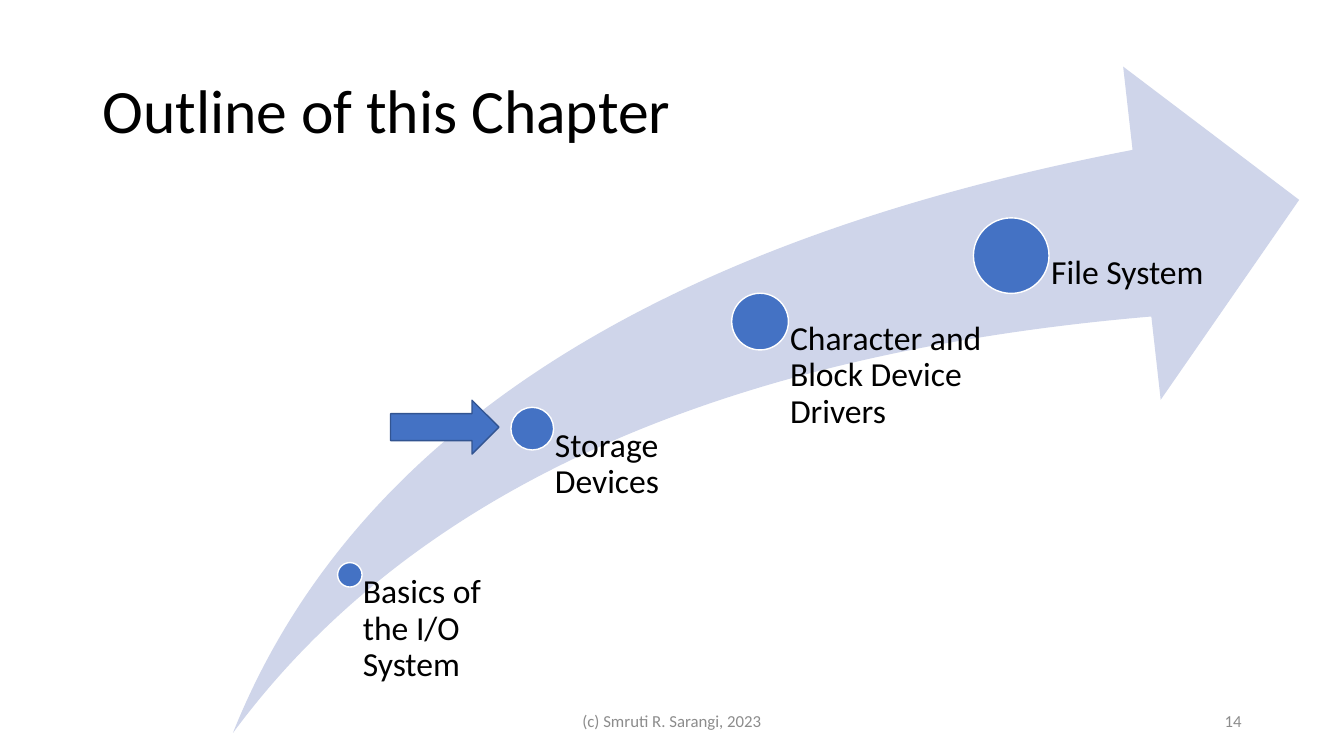
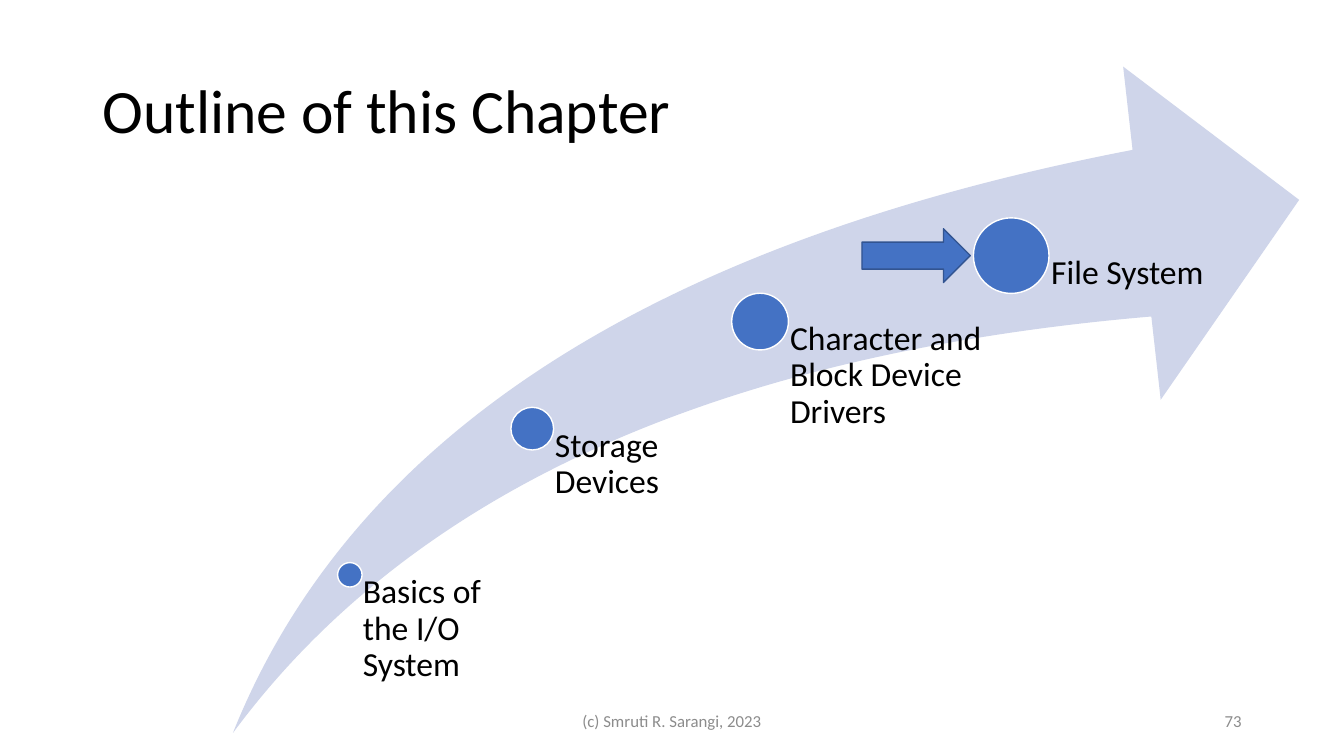
import pptx
import pptx.dml.color
import pptx.enum.shapes
import pptx.enum.text
import pptx.util

Pt = pptx.util.Pt
SHAPE = pptx.enum.shapes.MSO_SHAPE
ALIGN = pptx.enum.text.PP_ALIGN
ANCHOR = pptx.enum.text.MSO_ANCHOR

TITLE = "Outline of this Chapter"
COPYRIGHT = "(c) Smruti R. Sarangi, 2023"

# topic, circle centre x, centre y, diameter, label width
STEPS = [
    ("Basics of the I/O System", 249.9, 410.6, 17.5, 130.3),
    ("Storage Devices", 380.2, 306.2, 30.5, 160),
    ("Character and Block Device Drivers", 542.9, 229.7, 40.5, 160),
    ("File System", 722.3, 182.6, 54, 160),
]

# slide number, index of the current step, pointer's gap to the circle, pointer's rise
SLIDES = [
    (14, 1, 8.6, 1.1),
    (73, 3, 2.2, 0),
]

COLORS = {
    "text": "000000",
    "footer": "8C8C8C",
    "swoosh": "CFD5EA",
    "accent": "4472C4",
    "circle edge": "FFFFFF",
    "pointer edge": "325491",
}
FONT = "Calibri"
SWOOSH = (166.4, 47.6, 761.6, 476)
SWOOSH_BOTTOM = SWOOSH[1] + SWOOSH[3]
LABEL_INSET = 0.53  # share of the circle's diameter
POINTER_WIDTH, POINTER_HEIGHT = 77.4, 38.4
FOOTER_TOP, FOOTER_HEIGHT = 500.5, 28.75


def rgb(name):
    return pptx.dml.color.RGBColor.from_string(COLORS[name])


def add_text(shapes, box, text, size, color="text", align=ALIGN.LEFT,
             anchor=ANCHOR.MIDDLE, spacing=1.0, insets=(7.2, 3.6, 7.2, 3.6)):
    frame = shapes.add_textbox(*map(Pt, box)).text_frame
    frame.word_wrap = True
    frame.vertical_anchor = anchor
    (frame.margin_left, frame.margin_top,
     frame.margin_right, frame.margin_bottom) = map(Pt, insets)
    paragraph = frame.paragraphs[0]
    paragraph.alignment = align
    paragraph.line_spacing = spacing
    run = paragraph.add_run()
    run.text = text
    run.font.name = FONT
    run.font.size = Pt(size)
    run.font.color.rgb = rgb(color)


def add_filled(shapes, preset, box, fill, edge=None):
    shape = shapes.add_shape(preset, *map(Pt, box))
    shape.shadow.inherit = False
    shape.fill.solid()
    shape.fill.fore_color.rgb = rgb(fill)
    if edge:
        shape.line.color.rgb = rgb(edge)
        shape.line.width = Pt(1)
    else:
        shape.line.fill.background()
    return shape


def add_roadmap(slide):
    """Swoosh with one circle and label per step, as one group."""
    shapes = slide.shapes.add_group_shape().shapes
    swoosh = add_filled(shapes, SHAPE.SWOOSH_ARROW, SWOOSH, "swoosh")
    swoosh.adjustments[0] = swoosh.adjustments[1] = 0.25
    for topic, x, y, diameter, width in STEPS:
        radius = diameter / 2
        add_filled(shapes, SHAPE.OVAL, (x - radius, y - radius, diameter, diameter),
                   "accent", "circle edge")
        add_text(shapes, (x, y, width, SWOOSH_BOTTOM - y), topic, 24,
                 anchor=ANCHOR.TOP, spacing=0.9,
                 insets=(diameter * LABEL_INSET, 0, 0, 0))


def add_pointer(slide, step, gap, rise):
    _, x, y, diameter, _ = STEPS[step]
    left = x - diameter / 2 - gap - POINTER_WIDTH
    top = y - rise - POINTER_HEIGHT / 2
    add_filled(slide.shapes, SHAPE.RIGHT_ARROW,
               (left, top, POINTER_WIDTH, POINTER_HEIGHT), "accent", "pointer edge")


def add_footer(slide, number):
    for left, width, text, align in [
        (318, 324, COPYRIGHT, ALIGN.CENTER),
        (678, 216, str(number), ALIGN.RIGHT),
    ]:
        add_text(slide.shapes, (left, FOOTER_TOP, width, FOOTER_HEIGHT),
                 text, 12, "footer", align)


def main():
    deck = pptx.Presentation()
    deck.slide_width, deck.slide_height = Pt(960), Pt(540)
    blank = deck.slide_layouts[6]
    for number, step, gap, rise in SLIDES:
        slide = deck.slides.add_slide(blank)
        add_text(slide.shapes, (66, 28.75, 828, 104.4), TITLE, 44, spacing=0.9)
        add_roadmap(slide)
        add_pointer(slide, step, gap, rise)
        add_footer(slide, number)
    deck.save("out.pptx")


if __name__ == "__main__":
    main()
